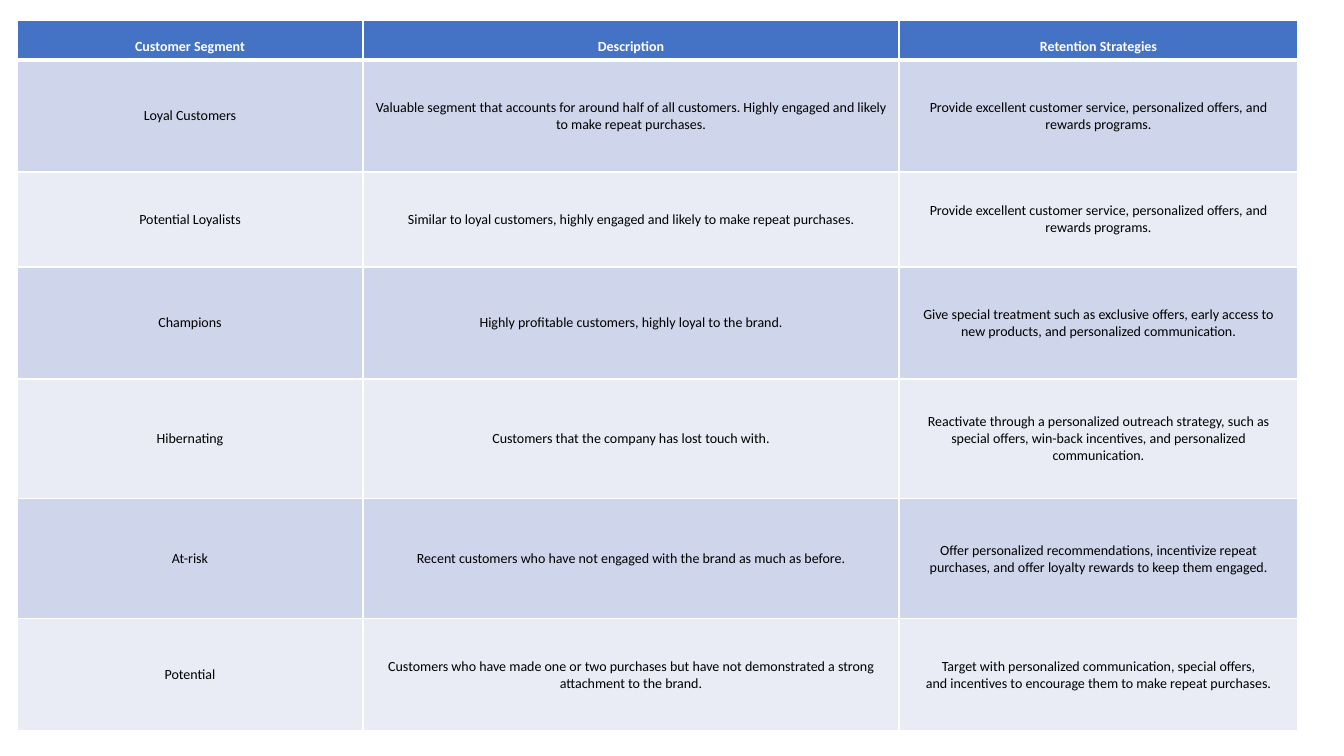
from lxml.etree import SubElement
from pptx import Presentation
from pptx.dml.color import RGBColor
from pptx.enum.text import MSO_ANCHOR as Anchor, PP_ALIGN as Align
from pptx.oxml.ns import qn
from pptx.util import Emu, Pt

SCALE = 914400 / 100.8
WHITE = RGBColor(0xFF, 0xFF, 0xFF)
BLACK = RGBColor(0x00, 0x00, 0x00)
HEADER_BLUE = RGBColor(0x44, 0x72, 0xC4)
BANDS = (RGBColor(0xE9, 0xEB, 0xF5), RGBColor(0xCF, 0xD5, 0xEA))

LEFT, TOP = 17, 20
COLUMN_WIDTHS = (346, 536, 399)
ROW_HEIGHTS = (40, 112, 95, 112, 120, 120, 112)
HEADER_FORMAT = {"size": Pt(10), "name": "Calibri", "bold": True}
BODY_FORMAT = {**HEADER_FORMAT, "bold": False}
LOYALTY_STRATEGY = (
    "Provide excellent customer service,\u00a0personalized offers, "
    "and rewards\u00a0programs."
)
SEGMENTS = (
    ("Customer Segment", "Description", "Retention Strategies"),
    (
        "Loyal Customers",
        "Valuable segment that accounts for around half of all\u00a0customers. "
        "Highly engaged and likely to make repeat\u00a0purchases.",
        LOYALTY_STRATEGY,
    ),
    (
        "Potential Loyalists",
        "Similar to loyal customers, highly engaged and likely\u00a0to make "
        "repeat purchases.",
        LOYALTY_STRATEGY,
    ),
    (
        "Champions",
        "Highly profitable customers, highly loyal to the\u00a0brand.",
        "Give special treatment such as\u00a0exclusive offers, early access to "
        "new\u00a0products, and personalized\u00a0communication.",
    ),
    (
        "Hibernating",
        "Customers that the company has lost touch with.",
        "Reactivate through a personalized\u00a0outreach strategy, such as "
        "special\u00a0offers, win-back incentives, "
        "and\u00a0personalized communication.",
    ),
    (
        "At-risk",
        "Recent customers who have not engaged with the\u00a0brand as much "
        "as before.",
        "Offer personalized recommendations,\u00a0incentivize repeat purchases, "
        "and offer\u00a0loyalty rewards to keep them engaged.",
    ),
    (
        "Potential",
        "Customers who have made one or two purchases\u00a0but have not "
        "demonstrated a strong attachment to\u00a0the brand.",
        "Target with personalized\u00a0communication, special offers, "
        "and\u00a0incentives to encourage them to make\u00a0repeat purchases.",
    ),
)


def px(pixels):
    """Turn whole pixels into EMU."""
    return Emu(round(pixels * SCALE))


def add_borders(cell, widths):
    """Draw white cell borders with the given point widths by side."""
    properties = cell._tc.get_or_add_tcPr()
    for side, width in widths.items():
        line = SubElement(properties, qn(f"a:ln{side}"), w=str(Pt(width)))
        fill = SubElement(line, qn("a:solidFill"))
        SubElement(fill, qn("a:srgbClr"), val=str(WHITE))


def fill_cell(cell, text, fill, color, anchor, formats):
    """Write centred text in a cell and set its fill."""
    cell.fill.solid()
    cell.fill.fore_color.rgb = fill
    cell.vertical_anchor = anchor
    para = cell.text_frame.paragraphs[0]
    para.alignment = Align.CENTER
    span = para.add_run()
    span.text = text
    span.font.color.rgb = color
    for name, value in formats.items():
        setattr(span.font, name, value)


def add_segment_table(page):
    """Add the table of customer segments."""
    frame = page.shapes.add_table(
        len(ROW_HEIGHTS), len(COLUMN_WIDTHS), px(LEFT), px(TOP),
        px(sum(COLUMN_WIDTHS)), px(sum(ROW_HEIGHTS)),
    )
    table = frame.table
    for column, width in zip(table.columns, COLUMN_WIDTHS):
        column.width = px(width)
    for index, (row, height) in enumerate(zip(table.rows, ROW_HEIGHTS)):
        row.height = px(height)
        if index == 0:
            look = (HEADER_BLUE, WHITE, Anchor.BOTTOM, HEADER_FORMAT)
        else:
            look = (BANDS[index % 2], BLACK, Anchor.MIDDLE, BODY_FORMAT)
        widths = {
            "L": 1, "R": 1,
            "T": 3 if index == 1 else 1,
            "B": 3 if index == 0 else 1,
        }
        for cell, text in zip(row.cells, SEGMENTS[index]):
            add_borders(cell, widths)
            fill_cell(cell, text, *look)


def main():
    """Build and save the slide."""
    deck = Presentation()
    deck.slide_width, deck.slide_height = px(1344), px(756)
    page = deck.slides.add_slide(deck.slide_layouts[6])
    add_segment_table(page)
    deck.save("out.pptx")


main()
